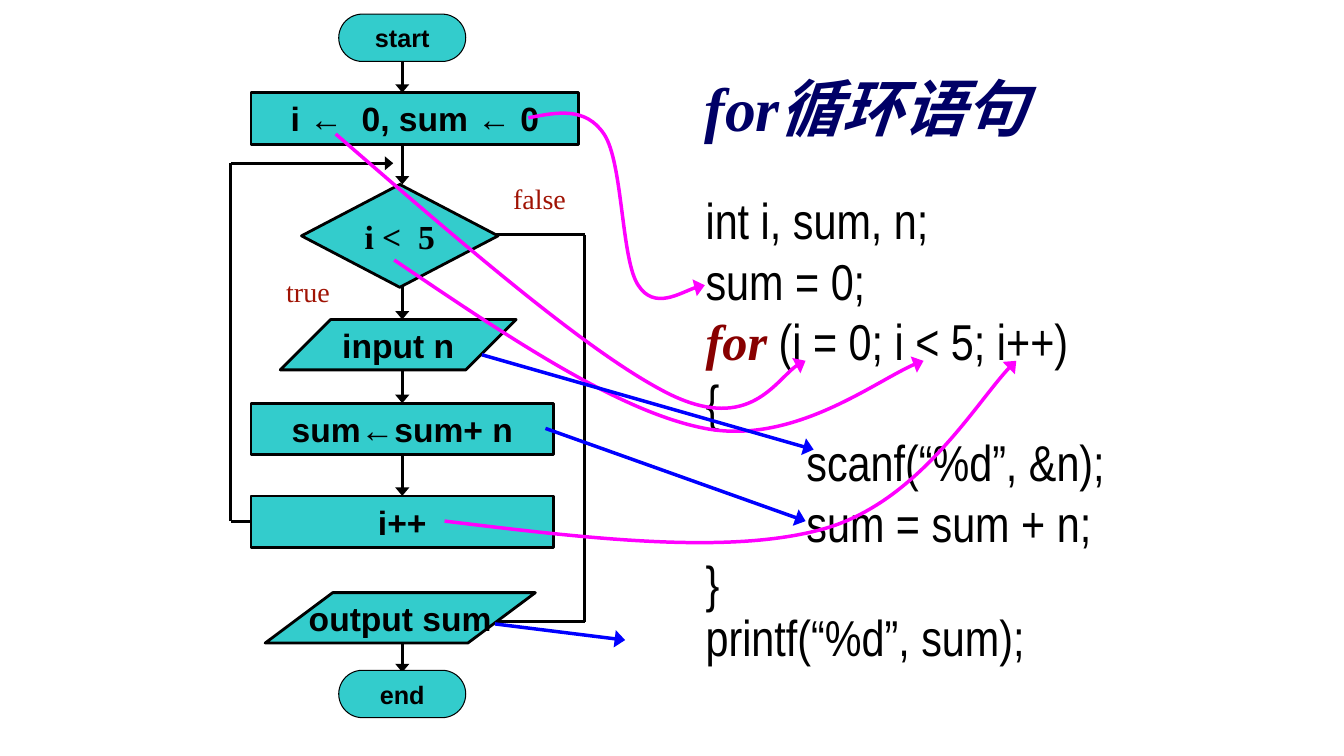
"""Build a slide that links a flowchart to the matching for-loop code."""
from typing import NamedTuple

from pptx import Presentation
from pptx.dml.color import RGBColor
from pptx.enum.shapes import MSO_CONNECTOR as Connector, MSO_SHAPE as Preset
from pptx.enum.text import MSO_ANCHOR as Anchor, PP_ALIGN as Align
from pptx.oxml.xmlchemy import OxmlElement
from pptx.util import Pt

PX = 9144
BLACK = RGBColor(0x00, 0x00, 0x00)
TEAL = RGBColor(0x33, 0xCC, 0xCC)
BLUE = RGBColor(0x00, 0x00, 0xFF)
MAGENTA = RGBColor(0xFF, 0x00, 0xFF)
BRANCH_RED = RGBColor(0xA0, 0x13, 0x04)
KEYWORD_RED = RGBColor(0x88, 0x00, 0x00)
NAVY = RGBColor(0x00, 0x00, 0x66)
SANS, NARROW, SERIF = "Arial", "Arial Narrow", "Times New Roman"
AXIS = 399
TAB_STOP = 100

Point = tuple[int, int]


class Span(NamedTuple):
    text: str
    font: str = NARROW
    size: int = 36
    color: RGBColor = BLACK
    bold: bool = False
    italic: bool = False


class Node(NamedTuple):
    preset: Preset
    left: int
    top: int
    width: int
    height: int
    text: str
    font: str = SANS
    size: int = 24
    outline: float = 2
    adjust: float | None = None


class Link(NamedTuple):
    points: list[Point]
    arrow: bool = True


class TextBlock(NamedTuple):
    left: int
    top: int
    width: int
    height: int
    paragraphs: list[list[Span]]


LOOP_LINKS = [
    Link([(325, 517), (229, 517), (229, 162), (390, 162)]),
    Link([(490, 233), (580, 233), (580, 617), (474, 617)]),
]
STEP_LINKS = [
    Link([(AXIS, top), (AXIS, bottom)])
    for top, bottom in [(58, 92), (142, 183), (283, 317), (367, 400), (450, 492), (625, 667)]
]
NODES = [
    Node(Preset.ROUNDED_RECTANGLE, 336, 14, 126, 47, "start", size=18, outline=0.75, adjust=0.5),
    Node(Preset.RECTANGLE, 249, 92, 325, 51, "i ←  0, sum ← 0"),
    Node(Preset.DIAMOND, 299, 183, 195, 102, "i <  5", font=SERIF),
    Node(Preset.PARALLELOGRAM, 278, 317, 234, 50, "input n", adjust=1),
    Node(Preset.RECTANGLE, 249, 400, 300, 51, "sum←sum+ n"),
    Node(Preset.RECTANGLE, 249, 492, 300, 51, "i++"),
    Node(Preset.PARALLELOGRAM, 263, 588, 268, 50, "output sum", adjust=1.34),
    Node(Preset.ROUNDED_RECTANGLE, 336, 665, 126, 47, "end", size=18, outline=0.75, adjust=0.5),
]
TEXT_BLOCKS = [
    TextBlock(499, 175, 80, 43, [[Span("false", SERIF, 20, BRANCH_RED)]]),
    TextBlock(274, 267, 80, 43, [[Span("true", SERIF, 20, BRANCH_RED)]]),
    TextBlock(690, 183, 440, 431, [
        [Span("int i, sum, n;")],
        [Span("sum = 0;")],
        [Span("for", SERIF, 36, KEYWORD_RED, True, True), Span(" (i = 0; i < 5; i++)")],
        [Span("{")],
        [Span("\tscanf(“%d”, &n);")],
        [Span("\tsum = sum + n;")],
        [Span("}")],
    ]),
    TextBlock(690, 596, 440, 70, [[Span("printf(“%d”, sum);")]]),
]
CODE_CURVES = [
    [(524, 117), (553, 111), (581, 106), (599, 133), (618, 161), (616, 258), (633, 283),
     (649, 308), (688, 283), (699, 283)],
    [(333, 133), (461, 244), (588, 354), (666, 392), (744, 429), (777, 364), (799, 358)],
    [(391, 258), (502, 333), (612, 408), (699, 425), (787, 442), (880, 369), (916, 358)],
    [(441, 517), (581, 534), (722, 551), (816, 525), (911, 499), (976, 386), (1008, 358)],
]
CODE_LINKS = [
    Link([(478, 352), (807, 446)]),
    Link([(541, 425), (799, 517)]),
    Link([(491, 619), (620, 635)]),
]


def write_spans(para, spans: list[Span]) -> None:
    """Add the styled runs of one paragraph."""
    for span in spans:
        run = para.add_run()
        run.text = span.text
        font = run.font
        font.name, font.size = span.font, Pt(span.size)
        font.bold, font.italic = span.bold, span.italic
        font.color.rgb = span.color


def add_tab_stop(para) -> None:
    """Give a code paragraph the indentation tab stop."""
    stops, stop = OxmlElement("a:tabLst"), OxmlElement("a:tab")
    stop.set("pos", str(TAB_STOP * PX))
    stop.set("algn", "l")
    stops.append(stop)
    para._p.get_or_add_pPr().append(stops)


def style_line(shape, color: RGBColor, width: float, arrow: bool) -> None:
    """Colour a line and give it an optional wide arrowhead."""
    shape.line.color.rgb = color
    shape.line.width = Pt(width)
    if arrow:
        head = OxmlElement("a:tailEnd")
        for key, value in (("type", "triangle"), ("w", "lg"), ("len", "med")):
            head.set(key, value)
        shape._element.xpath(".//a:ln")[0].append(head)


def draw_link(page, link: Link, color: RGBColor, width: float) -> None:
    """Draw straight connectors through the points of a link."""
    segments = list(zip(link.points, link.points[1:]))
    for index, (start, end) in enumerate(segments):
        ends = [value * PX for value in (*start, *end)]
        connector = page.shapes.add_connector(Connector.STRAIGHT, *ends)
        last = index == len(segments) - 1
        style_line(connector, color, width, link.arrow and last)
        connector._element.spPr.append(OxmlElement("a:effectLst"))


def draw_curve(page, points: list[Point]) -> None:
    """Draw a Bezier arrow from a start point and control point triples."""
    builder = page.shapes.build_freeform(*points[0], scale=PX)
    builder.add_line_segments(points[1:], close=False)
    curve = builder.convert_to_shape()
    steps = curve._element.xpath(".//a:lnTo")
    for first in range(0, len(steps), 3):
        bezier = OxmlElement("a:cubicBezTo")
        steps[first].addprevious(bezier)
        for step in steps[first:first + 3]:
            bezier.append(step[0])
            step.getparent().remove(step)
    curve.fill.background()
    curve.shadow.inherit = False
    style_line(curve, MAGENTA, 2.5, True)


def draw_node(page, node: Node) -> None:
    """Draw one labelled flowchart shape."""
    frame = [value * PX for value in (node.left, node.top, node.width, node.height)]
    shape = page.shapes.add_shape(node.preset, *frame)
    if node.adjust is not None:
        shape.adjustments[0] = node.adjust
    shape.shadow.inherit = False
    shape.fill.solid()
    shape.fill.fore_color.rgb = TEAL
    style_line(shape, BLACK, node.outline, False)
    body = shape.text_frame
    body.word_wrap = False
    body.vertical_anchor = Anchor.MIDDLE
    para = body.paragraphs[0]
    para.alignment = Align.CENTER
    write_spans(para, [Span(node.text, node.font, node.size, bold=True)])


def draw_text(page, block: TextBlock):
    """Draw a text box and return its text frame."""
    frame = [value * PX for value in (block.left, block.top, block.width, block.height)]
    body = page.shapes.add_textbox(*frame).text_frame
    body.word_wrap = True
    for index, spans in enumerate(block.paragraphs):
        para = body.add_paragraph() if index else body.paragraphs[0]
        if spans[0].text.startswith("\t"):
            add_tab_stop(para)
        write_spans(para, spans)
    return body


def draw_title(page) -> None:
    """Draw the centred slide title."""
    title = Span("for循环语句", SERIF, 44, NAVY, True, True)
    body = draw_text(page, TextBlock(628, 62, 461, 100, [[title]]))
    body.vertical_anchor = Anchor.MIDDLE
    body.paragraphs[0].alignment = Align.CENTER
    body.paragraphs[0].line_spacing = 0.85


def main() -> None:
    """Build and save the deck."""
    deck = Presentation()
    deck.slide_width, deck.slide_height = 1333 * PX, 750 * PX
    page = deck.slides.add_slide(deck.slide_layouts[6])
    for link in LOOP_LINKS + STEP_LINKS:
        draw_link(page, link, BLACK, 2)
    for node in NODES:
        draw_node(page, node)
    for block in TEXT_BLOCKS:
        draw_text(page, block)
    for points in CODE_CURVES:
        draw_curve(page, points)
    for link in CODE_LINKS:
        draw_link(page, link, BLUE, 2.5)
    draw_title(page)
    deck.save("out.pptx")


if __name__ == "__main__":
    main()
